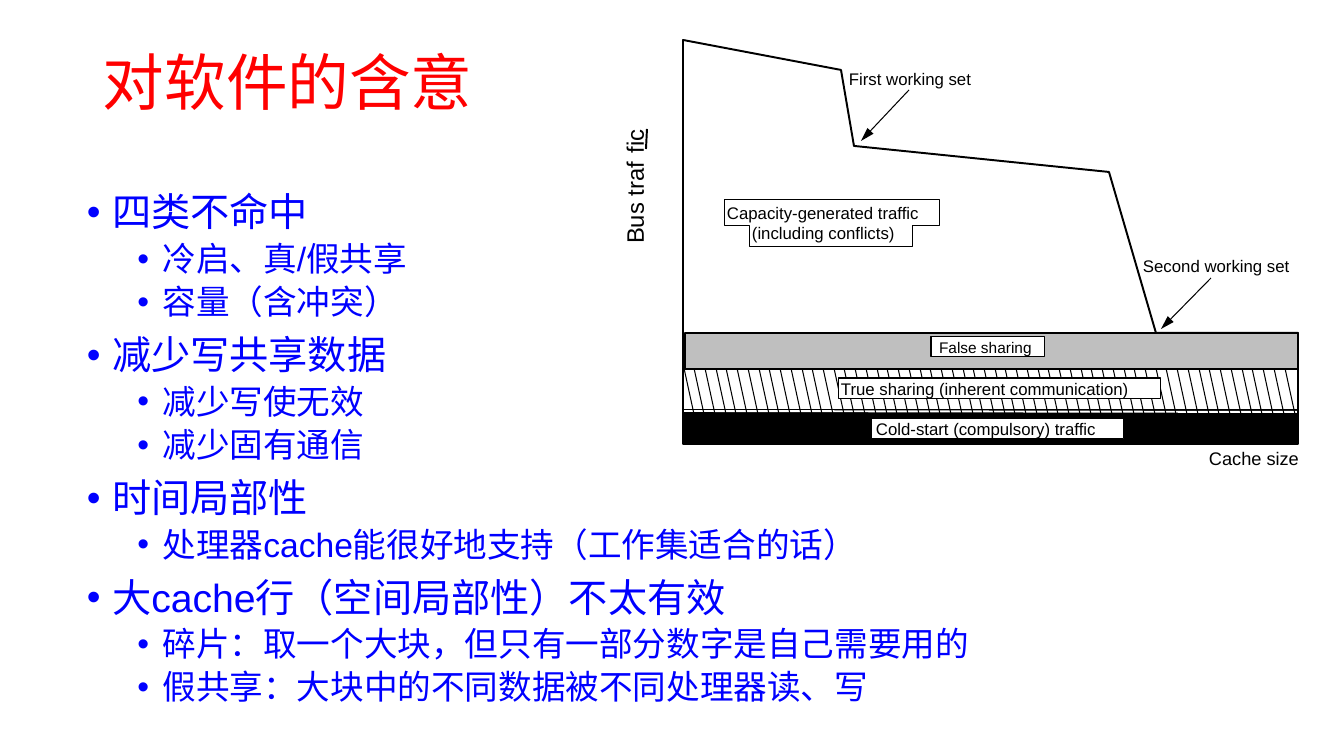
from lxml.etree import SubElement
from pptx import Presentation
from pptx.dml.color import RGBColor
from pptx.enum.shapes import MSO_CONNECTOR, MSO_SHAPE
from pptx.enum.text import MSO_ANCHOR
from pptx.oxml.ns import qn
from pptx.util import Emu, Pt

EMU_PER_PX = 914400 / 100.8
BLACK, WHITE, GRAY, RED, BLUE = "000000", "FFFFFF", "BFBFBF", "FF0000", "0000FF"
THIN, THICK = 0.75, 1.38


def px(length):
    return Emu(round(length * EMU_PER_PX))


def color(value):
    return RGBColor.from_string(value)


class SlideBuilder:
    """Draws styled elements on one slide, placed in pixels."""

    def __init__(self, page, font_name):
        self.page = page
        self.font_name = font_name

    def paint(self, shape, fill, line, width):
        shape.shadow.inherit = False
        if fill:
            shape.fill.solid()
            shape.fill.fore_color.rgb = color(fill)
        else:
            shape.fill.background()
        if line:
            shape.line.color.rgb = color(line)
            shape.line.width = Pt(width)
        else:
            shape.line.fill.background()

    def set_font(self, para, size, ink):
        para.font.name = self.font_name
        para.font.size = Pt(size)
        para.font.color.rgb = color(ink)

    def set_frame(self, shape, side=0, edge=0, anchor=MSO_ANCHOR.TOP):
        frame = shape.text_frame
        frame.word_wrap = True
        frame.margin_left, frame.margin_right = px(side), px(0)
        frame.margin_top = frame.margin_bottom = px(edge)
        frame.vertical_anchor = anchor
        return frame

    def rectangle(self, place, fill, line=None, width=THICK):
        box = self.page.shapes.add_shape(MSO_SHAPE.RECTANGLE, *map(px, place))
        self.paint(box, fill, line, width)
        return box

    def tag(self, text, place, inset, size=12):
        box = self.rectangle(place, WHITE, BLACK, THIN)
        para = self.set_frame(box, inset, anchor=MSO_ANCHOR.MIDDLE).paragraphs[0]
        para.text = text
        para.alignment = 1
        self.set_font(para, size, BLACK)

    def label(self, text, place, size=12, rotation=0):
        box = self.page.shapes.add_textbox(*map(px, place))
        box.rotation = rotation
        para = self.set_frame(box).paragraphs[0]
        para.text = text
        self.set_font(para, size, BLACK)

    def title(self, text, place):
        box = self.page.shapes.add_textbox(*map(px, place))
        para = self.set_frame(box, 10, 5, MSO_ANCHOR.MIDDLE).paragraphs[0]
        para.text = text
        para.line_spacing = 0.9
        self.set_font(para, 44, RED)

    def bullets(self, items, place):
        box = self.page.shapes.add_textbox(*map(px, place))
        frame = self.set_frame(box, 10, 5)
        for index, (level, text) in enumerate(items):
            para = frame.add_paragraph() if index else frame.paragraphs[0]
            para.text = text
            para.level = level
            para.line_spacing = 0.9
            para.space_before = Pt((10, 5)[level] if index else 0)
            properties = para._p.get_or_add_pPr()
            properties.set("marL", str((228600, 685800)[level]))
            properties.set("indent", "-228600")
            SubElement(properties, qn("a:buFont"), typeface=self.font_name)
            SubElement(properties, qn("a:buChar"), char="•")
            self.set_font(para, (28, 24)[level], BLUE)

    def line(self, start, end, ink=BLACK, width=THIN, arrow=False):
        connector = self.page.shapes.add_connector(
            MSO_CONNECTOR.STRAIGHT, *map(px, start + end))
        connector.line.color.rgb = color(ink)
        connector.line.width = Pt(width)
        if arrow:
            SubElement(connector.line._get_or_add_ln(), qn("a:tailEnd"),
                       type="triangle", w="med", len="lg")
        SubElement(connector._element.spPr, qn("a:effectLst"))

    def outline(self, points, fill, width, close):
        builder = self.page.shapes.build_freeform(*points[0], scale=EMU_PER_PX)
        builder.add_line_segments(points[1:], close=close)
        self.paint(builder.convert_to_shape(), fill, BLACK, width)


def draw_chart(slide):
    left, right, width = 683, 1298, 615
    slide.rectangle((left, 409, width, 35), BLACK)
    slide.rectangle((left, 370, width, 39), WHITE)
    slide.line((left, 411), (right, 412), WHITE, THICK)

    hatch_gaps = 56
    for index in range(hatch_gaps + 1):
        top_x = 684 + index * 601 // hatch_gaps
        slide.line((top_x, 368), (top_x + 10, 414))

    slide.outline([(left, 40), (left, 444), (right, 444), (right, 333),
                   (1156, 333), (1109, 172), (854, 146), (841, 70), (left, 40)],
                  None, THICK, False)
    slide.rectangle((685, 333, 613, 36), GRAY, BLACK)
    slide.outline([(940, 200), (725, 200), (725, 226), (750, 226),
                   (750, 247), (913, 247), (913, 226), (940, 226)],
                  WHITE, THIN, True)
    slide.line((909, 90), (861, 141), arrow=True)
    slide.line((1211, 278), (1161, 329), arrow=True)

    slide.label("First working set", (849, 69, 135, 23))
    slide.label("Second working set", (1143, 256, 161, 23))
    slide.label("Capacity-generated traffic", (727, 203, 212, 23))
    slide.label("(including conflicts)", (752, 223, 157, 23))
    slide.label("Cache size", (1209, 447, 99, 24), 13)
    slide.label("Bus traf", (589, 182, 93, 31), 17, 270)
    slide.label("fic", (622, 124, 27, 31), 17, 270)
    slide.line((646, 149), (647, 129), width=THICK)

    slide.tag("False sharing", (931, 337, 114, 20), 8, 11)
    slide.tag("True sharing (inherent communication)", (839, 378, 322, 21), 2)
    slide.tag("Cold-start (compulsory) traffic", (872, 418, 252, 21), 4)


def main():
    deck = Presentation()
    deck.slide_width, deck.slide_height = px(1344), px(756)
    slide = SlideBuilder(deck.slides.add_slide(deck.slide_layouts[6]), "Arial")
    slide.title("对软件的含意", (93, 40, 1159, 92))
    slide.bullets([
        (0, "四类不命中"),
        (1, "冷启、真/假共享"),
        (1, "容量（含冲突）"),
        (0, "减少写共享数据"),
        (1, "减少写使无效"),
        (1, "减少固有通信"),
        (0, "时间局部性"),
        (1, "处理器cache能很好地支持（工作集适合的话）"),
        (0, "大cache行（空间局部性）不太有效"),
        (1, "碎片：取一个大块，但只有一部分数字是自己需要用的"),
        (1, "假共享：大块中的不同数据被不同处理器读、写"),
    ], (77, 188, 1043, 480))
    draw_chart(slide)
    deck.save("out.pptx")


if __name__ == "__main__":
    main()
